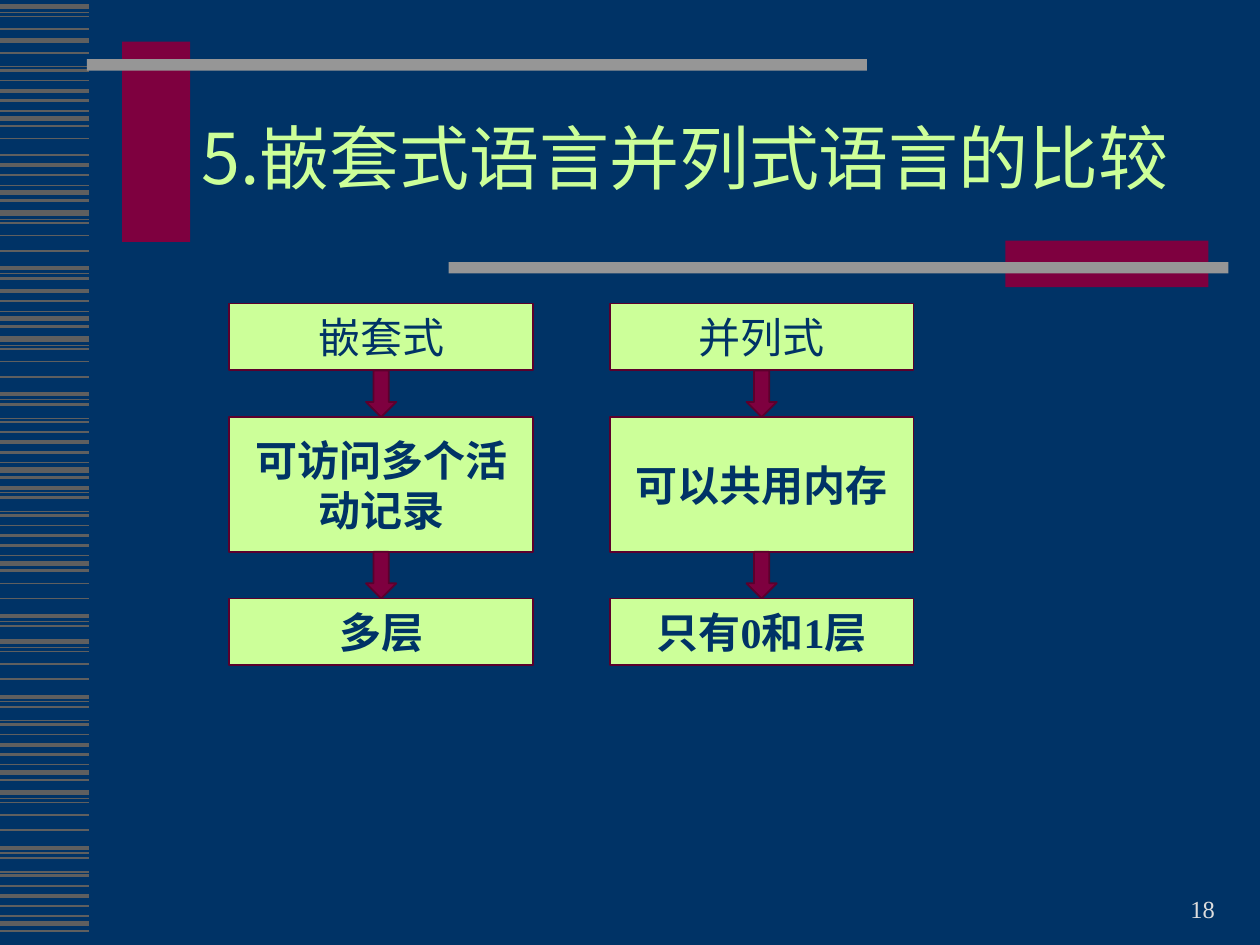
from lxml.etree import SubElement
from pptx import Presentation
from pptx.dml.color import RGBColor
from pptx.enum.shapes import MSO_CONNECTOR as Connector, MSO_SHAPE as Shape
from pptx.enum.text import MSO_ANCHOR as Anchor, PP_ALIGN as Align
from pptx.oxml.ns import qn
from pptx.util import Inches, Pt

NAVY = RGBColor(0x00, 0x33, 0x66)
LIME = RGBColor(0xCC, 0xFF, 0x99)
MAROON = RGBColor(0x7E, 0x00, 0x3F)
DARK_MAROON = RGBColor(0x5B, 0x00, 0x2C)
GRAY = RGBColor(0x96, 0x96, 0x96)
STRIPE_GRAY = RGBColor(0x5F, 0x5F, 0x5F)
PALE_GRAY = RGBColor(0xDD, 0xDD, 0xDD)
SERIF = "Times New Roman"
SANS = "Noto Sans CJK SC"

# Stripe motifs: (offset from the motif's origin in inches, width in points)
RISING = [(-0.3, 1), (-0.22, 2.25), (-0.14, 1.5), (-0.06, 0.75), (0, 3), (0.06, 1.5)]
FALLING = [(0, 3), (0.05, 0.75), (0.08, 1), (0.18, 1), (0.3, 1), (0.44, 2.25),
           (0.48, 0.75), (0.52, 1.5), (0.63, 0.75), (0.66, 1.5)]
SINGLE_THICK, SINGLE_THIN = [(0, 3)], [(0, 1)]

# Motifs down the side band, each with its origin
STRIPES = [
    (0.05, FALLING[:4]), (0.32, SINGLE_THICK), (-0.1, FALLING[7:]),
    (0.94, RISING), (1.1, SINGLE_THIN), (1.53, RISING), (1.69, FALLING[:8]),
    (2.53, RISING[1:]), (2.69, FALLING), (3.73, RISING), (3.43, FALLING[5:]),
    (4.47, RISING), (4.45, FALLING[3:8]), (5.09, FALLING), (6.13, RISING),
    (6.29, FALLING), (7.33, RISING),
]

# Title decoration: left, top, width, height, colour
BARS = [
    (0.97, 0.33, 0.54, 1.59, MAROON), (0.69, 0.47, 6.19, 0.09, GRAY),
    (7.98, 1.91, 1.61, 0.37, MAROON), (3.56, 2.08, 6.19, 0.09, GRAY),
]


def write_text(shape, text, size, color, font=SERIF, bold=False,
               align=Align.CENTER, anchor=Anchor.MIDDLE, line_spacing=None):
    frame = shape.text_frame
    frame.word_wrap = True
    frame.vertical_anchor = anchor
    paragraph = frame.paragraphs[0]
    paragraph.alignment = align
    paragraph.line_spacing = line_spacing
    run = paragraph.add_run()
    run.text = text
    run.font.name = font
    run.font.size = Pt(size)
    run.font.bold = bold
    run.font.color.rgb = color
    east_asian = SubElement(run.font._element, qn("a:ea"))
    east_asian.set("typeface", SANS)


def add_block(slide, kind, left, top, width, height, fill, line=None):
    shape = slide.shapes.add_shape(
        kind, Inches(left), Inches(top), Inches(width), Inches(height))
    shape.shadow.inherit = False
    shape.fill.solid()
    shape.fill.fore_color.rgb = fill
    if line is None:
        shape.line.fill.background()
    else:
        shape.line.color.rgb = line
        shape.line.width = Pt(1)
    return shape


def add_text_box(slide, left, top, width, height, text, **text_format):
    box = slide.shapes.add_textbox(
        Inches(left), Inches(top), Inches(width), Inches(height))
    write_text(box, text, **text_format)


def add_side_band(slide, left, width):
    for origin, motif in STRIPES:
        for offset, weight in motif:
            y = Inches(origin + offset)
            stripe = slide.shapes.add_connector(
                Connector.STRAIGHT, Inches(left), y, Inches(left + width), y)
            stripe.line.color.rgb = STRIPE_GRAY
            stripe.line.width = Pt(weight)
            SubElement(stripe._element.spPr, qn("a:effectLst"))


def add_title(slide, left, top, width, height, text):
    for *box, color in BARS:
        add_block(slide, Shape.RECTANGLE, *box, color)
    add_text_box(slide, left, top, width, height, text, size=40, color=LIME,
                 font=SANS, align=Align.LEFT, line_spacing=0.85)


def add_flow(slide, left, top, width, steps):
    """Stack boxes downwards, with an arrow in each gap."""
    heights, gap, arrow_width = (0.53, 1.07, 0.53), 0.37, 0.24
    arrow_left = left + (width - arrow_width) / 2
    for index, (text, height) in enumerate(zip(steps, heights)):
        if index:
            add_block(slide, Shape.DOWN_ARROW, arrow_left, top - gap,
                      arrow_width, gap, MAROON, DARK_MAROON)
        box = add_block(slide, Shape.RECTANGLE, left, top, width, height,
                        LIME, DARK_MAROON)
        write_text(box, text, size=24, color=NAVY, bold=index > 0)
        top += height + gap


def main():
    presentation = Presentation()
    presentation.slide_width = Inches(10)
    presentation.slide_height = Inches(7.5)
    slide = presentation.slides.add_slide(presentation.slide_layouts[6])
    slide.background.fill.solid()
    slide.background.fill.fore_color.rgb = NAVY

    add_side_band(slide, 0, 0.71)
    add_title(slide, 1.5, 0.67, 8.46, 1.25, "5.嵌套式语言并列式语言的比较")
    # Two languages side by side
    add_flow(slide, 1.82, 2.41, 2.41, ["嵌套式", "可访问多个活动记录", "多层"])
    add_flow(slide, 4.84, 2.41, 2.41, ["并列式", "可以共用内存", "只有0和1层"])
    # Slide number
    add_text_box(slide, 7.34, 6.88, 2.4, 0.5, "18", size=14, color=PALE_GRAY,
                 align=Align.RIGHT, anchor=Anchor.BOTTOM)
    presentation.save("out.pptx")


if __name__ == "__main__":
    main()
